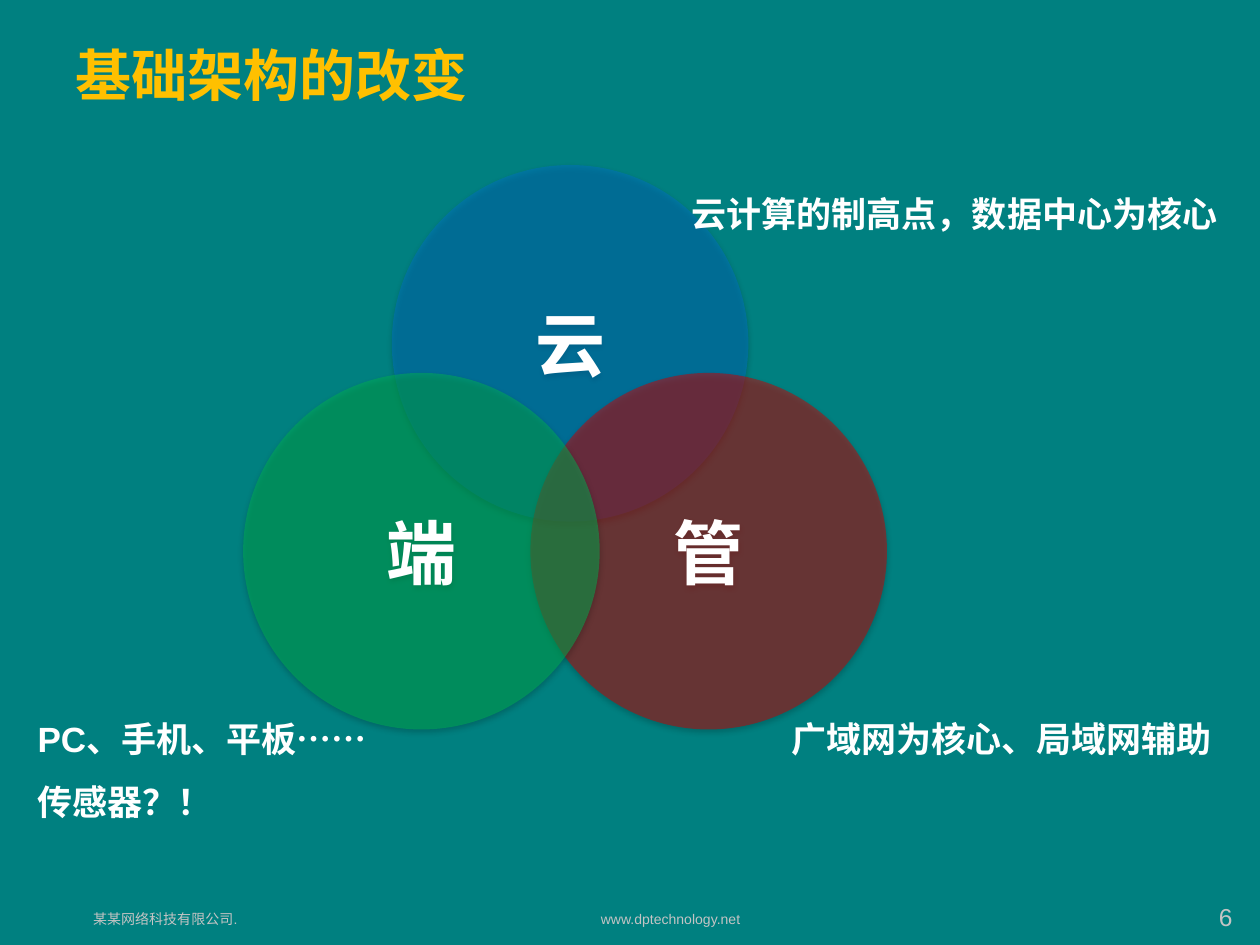
from pptx import Presentation
from pptx.dml.color import RGBColor
from pptx.enum.shapes import MSO_SHAPE
from pptx.enum.text import MSO_ANCHOR, PP_ALIGN
from pptx.oxml import parse_xml
from pptx.oxml.ns import nsdecls, qn
from pptx.util import Inches, Pt
from lxml.etree import SubElement

TITLE = "基础架构的改变"
CIRCLES = [("云", 3.11, 1.31, "0070C0"), ("管", 4.21, 2.96, "CC0000"), ("端", 1.93, 2.96, "00B050")]
NOTES = [
    ("云计算的制高点，数据中心为核心", (5.39, 1.31, 4.41, 0.54)),
    ("广域网为核心、局域网辅助", (6.18, 5.48, 3.57, 0.54)),
    ("PC、手机、平板……\n传感器？！", (0.2, 5.48, 2.84, 1.11)),
]
FOOTERS = [
    ("某某网络科技有限公司.", (0.64, 7.18, 2.5, 0.24), "footer", PP_ALIGN.LEFT),
    ("www.dptechnology.net", (4.67, 7.18, 2.5, 0.24), "footer", PP_ALIGN.LEFT),
    ("6", (9.3, 7.11, 0.58, 0.33), "number", PP_ALIGN.RIGHT),
]
DIAMETER = 2.83
CJK = "Noto Sans CJK SC"
THEME = {
    "bg": "008080",
    "title": (32, CJK, "FFC000", True),
    "circle": (40, CJK, "FFFFFF", True),
    "note": (20, "Arial", "FFFFFF", True),
    "footer": (8, "Arial", "C4C4C4", False),
    "number": (14, "Arial", "C4C4C4", False),
}
SHADOW = (
    f'<a:effectLst {nsdecls("a")}><a:outerShdw blurRad="{Pt(3.1)}" dist="{Pt(1.8)}" '
    'dir="5400000" rotWithShape="0"><a:srgbClr val="000000"><a:alpha val="35000"/>'
    "</a:srgbClr></a:outerShdw></a:effectLst>"
)


def write(sp, text, style, align=PP_ALIGN.LEFT, anchor=MSO_ANCHOR.TOP, spacing=None):
    size, font, color, bold = THEME[style]
    tf = sp.text_frame
    tf.text = text
    tf.word_wrap = True
    tf.vertical_anchor = anchor
    for p in tf.paragraphs:
        p.alignment = align
        if spacing:
            p.line_spacing = spacing
        for r in p.runs:
            r.font.size, r.font.name, r.font.bold = Pt(size), font, bold
            r.font.color.rgb = RGBColor.from_string(color)
            SubElement(r.font._element, qn("a:ea"), typeface=CJK)


def add_text(s, text, box, style, **layout):
    write(s.shapes.add_textbox(*map(Inches, box)), text, style, **layout)


def add_circle(s, text, left, top, color):
    sp = s.shapes.add_shape(MSO_SHAPE.OVAL, *map(Inches, (left, top, DIAMETER, DIAMETER)))
    sp.fill.solid()
    sp.fill.fore_color.rgb = RGBColor.from_string(color)
    SubElement(sp._element.spPr.find(".//" + qn("a:srgbClr")), qn("a:alpha"), val="50000")
    sp.line.fill.background()
    sp._element.spPr.append(parse_xml(SHADOW))
    write(sp, text, "circle", PP_ALIGN.CENTER, MSO_ANCHOR.MIDDLE)


def main():
    """Build the slide on the change of infrastructure."""
    prs = Presentation()
    prs.slide_width, prs.slide_height = Inches(10), Inches(7.5)
    s = prs.slides.add_slide(prs.slide_layouts[6])
    s.background.fill.solid()
    s.background.fill.fore_color.rgb = RGBColor.from_string(THEME["bg"])
    for text, box, style, align in FOOTERS:
        add_text(s, text, box, style, align=align)
    add_text(s, TITLE, (0.5, 0.17, 7.57, 0.83), "title", anchor=MSO_ANCHOR.MIDDLE)
    for circle in CIRCLES:
        add_circle(s, *circle)
    for text, box in NOTES:
        add_text(s, text, box, "note", spacing=1.5)
    prs.save("out.pptx")


if __name__ == "__main__":
    main()
